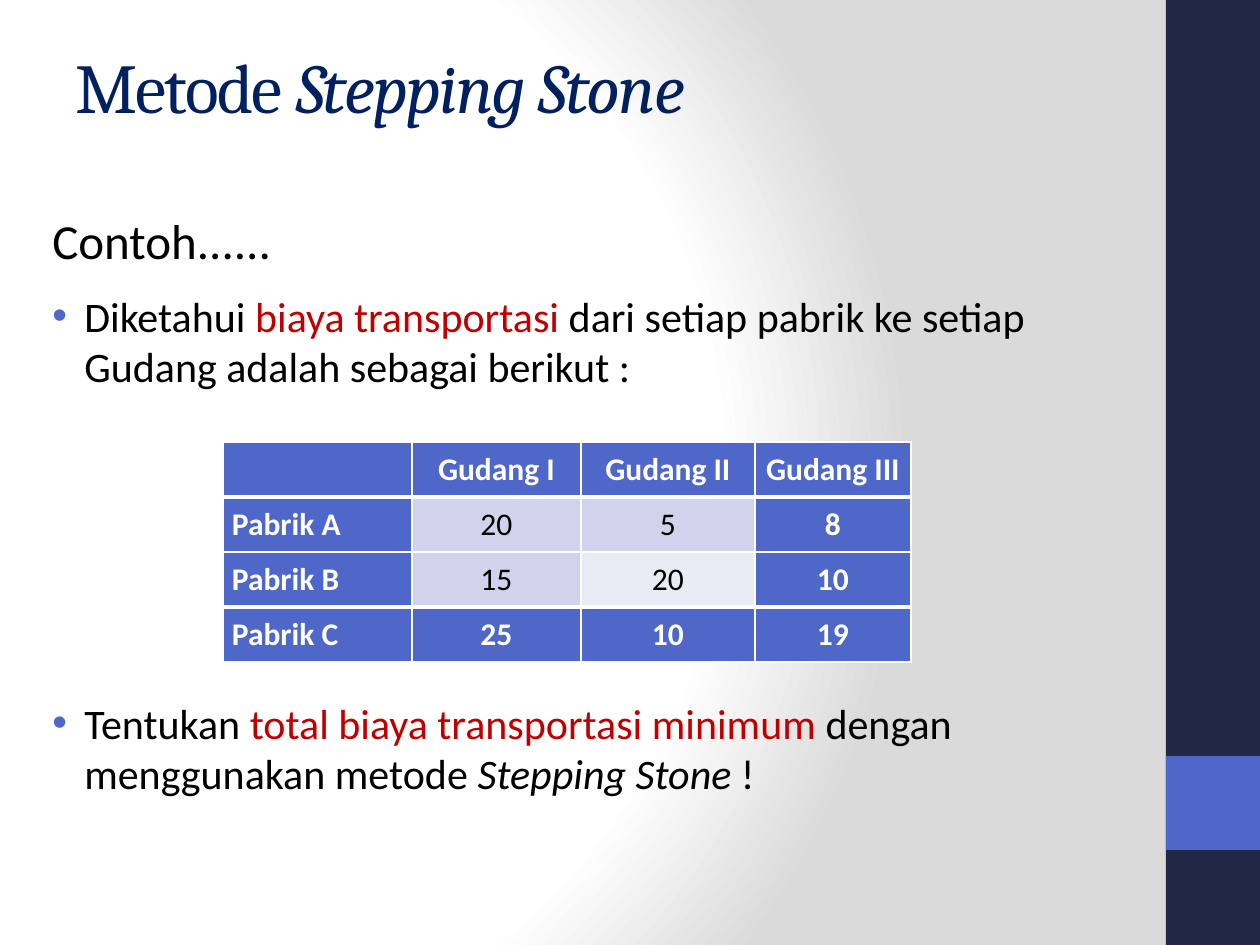
"""Build the Stepping Stone transportation-cost example slide."""
from lxml import etree
from pptx import Presentation
from pptx.dml.color import RGBColor
from pptx.enum.shapes import MSO_SHAPE
from pptx.enum.text import MSO_ANCHOR, PP_ALIGN
from pptx.oxml import parse_xml
from pptx.oxml.ns import nsdecls, qn
from pptx.util import Pt

PX = 914400 / 126
RECT = MSO_SHAPE.RECTANGLE
MIDDLE = MSO_ANCHOR.MIDDLE
CENTER, LEFT = PP_ALIGN.CENTER, PP_ALIGN.LEFT
NAVY = RGBColor(0x21, 0x27, 0x45)
BLUE = RGBColor(0x4E, 0x67, 0xC8)
TITLE_BLUE = RGBColor(0x00, 0x20, 0x60)
RED = RGBColor(0xC0, 0x00, 0x00)
BLACK = RGBColor(0x00, 0x00, 0x00)
WHITE = RGBColor(0xFF, 0xFF, 0xFF)
BAND = RGBColor(0xD0, 0xD3, 0xEB)
PALE = RGBColor(0xE9, 0xEB, 0xF5)


def px(*lengths):
    return [round(length * PX) for length in lengths]


def write(paragraph, text, size=24, color=BLACK, font="Calibri", bold=False, italic=False, spacing=0):
    run = paragraph.add_run()
    run.text = text
    run.font.size = Pt(size)
    run.font.color.rgb = color
    run.font.name = font
    run.font.bold = bold
    run.font.italic = italic
    if spacing:
        run._r.get_or_add_rPr().set("spc", str(spacing))


prs = Presentation()
prs.slide_width, prs.slide_height = px(1260, 945)
slide = prs.slides.add_slide(prs.slide_layouts[6])

stops = "".join(
    f'<a:gs pos="{position * 1000}"><a:srgbClr val="{color}"/></a:gs>'
    for position, color in [(0, "FFFFFF"), (75, "FFFFFF"), (100, "DADADA")]
)
slide.element.cSld.insert(0, parse_xml(
    f'<p:bg {nsdecls("p", "a")}><p:bgPr><a:gradFill rotWithShape="1"><a:gsLst>{stops}</a:gsLst>'
    '<a:path path="circle"><a:fillToRect l="20000" t="50000" r="100000" b="50000"/></a:path>'
    '</a:gradFill><a:effectLst/></p:bgPr></p:bg>'
))

for top, height, color in [(0, 945, NAVY), (756, 94, BLUE)]:
    side_band = slide.shapes.add_shape(RECT, *px(1166, top, 94, height))
    side_band.shadow.inherit = False
    side_band.fill.solid()
    side_band.fill.fore_color.rgb = color
    side_band.line.fill.background()

title = slide.shapes.add_textbox(*px(63, 6, 1050, 158)).text_frame
title.word_wrap = True
title.vertical_anchor = MIDDLE
for text, italic in [("Metode ", False), ("Stepping Stone", True)]:
    write(title.paragraphs[0], text, size=40, color=TITLE_BLUE, font="Cambria", italic=italic, spacing=-100)

body = slide.shapes.add_textbox(*px(25, 204, 1131, 714)).text_frame
body.word_wrap = True
intro = body.paragraphs[0]
intro._p.get_or_add_pPr().set("marL", str(px(15)[0]))
write(intro, "Contoh......", size=28)

points = [
    (12, [
        ("Diketahui ", {}),
        ("biaya transportasi ", {"color": RED}),
        ("dari setiap pabrik ke setiap Gudang adalah sebagai berikut :", {}),
    ]),
    (175, [
        ("Tentukan ", {}),
        ("total biaya transportasi minimum ", {"color": RED}),
        ("dengan menggunakan metode ", {}),
        ("Stepping Stone ", {"italic": True}),
        ("!", {}),
    ]),
]
for space_before, phrases in points:
    point = body.add_paragraph()
    point.space_before = Pt(space_before)
    properties = point._p.get_or_add_pPr()
    indent, hanging = px(47, -32)
    properties.set("marL", str(indent))
    properties.set("indent", str(hanging))
    bullet_color = etree.SubElement(properties, qn("a:buClr"))
    etree.SubElement(bullet_color, qn("a:srgbClr"), val=str(BLUE))
    etree.SubElement(properties, qn("a:buFont"), typeface="Arial")
    etree.SubElement(properties, qn("a:buChar"), char="•")
    for text, style in phrases:
        write(point, text, **style)

costs = [
    ["", "Gudang I", "Gudang II", "Gudang III"],
    ["Pabrik A", "20", "5", "8"],
    ["Pabrik B", "15", "20", "10"],
    ["Pabrik C", "25", "10", "19"],
]
inner_fills = {(1, 1): BAND, (1, 2): BAND, (2, 1): BAND, (2, 2): PALE}
cost_table = slide.shapes.add_table(4, 4, *px(223, 442, 688, 220)).table
for column, width in zip(cost_table.columns, px(189, 169, 174, 156)):
    column.width = width
for row in cost_table.rows:
    row.height = px(55)[0]

for r, values in enumerate(costs):
    for c, value in enumerate(values):
        cell = cost_table.cell(r, c)
        cell.vertical_anchor = MIDDLE
        cell.margin_left, cell.margin_right, cell.margin_top, cell.margin_bottom = px(9, 9, 0, 0)
        edges = {"lnL": 1, "lnR": 1, "lnT": 3 if r in (1, 3) else 1, "lnB": 3 if r in (0, 2) else 1}
        for edge, width in edges.items():
            border = etree.SubElement(cell._tc.get_or_add_tcPr(), qn(f"a:{edge}"), w=str(Pt(width)))
            border_fill = etree.SubElement(border, qn("a:solidFill"))
            etree.SubElement(border_fill, qn("a:srgbClr"), val=str(WHITE))
        inner = (r, c) in inner_fills
        cell.fill.solid()
        cell.fill.fore_color.rgb = inner_fills.get((r, c), BLUE)
        if value:
            entry = cell.text_frame.paragraphs[0]
            entry.alignment = CENTER if c else LEFT
            write(entry, value, size=18, color=BLACK if inner else WHITE, bold=not inner)

prs.save("out.pptx")
